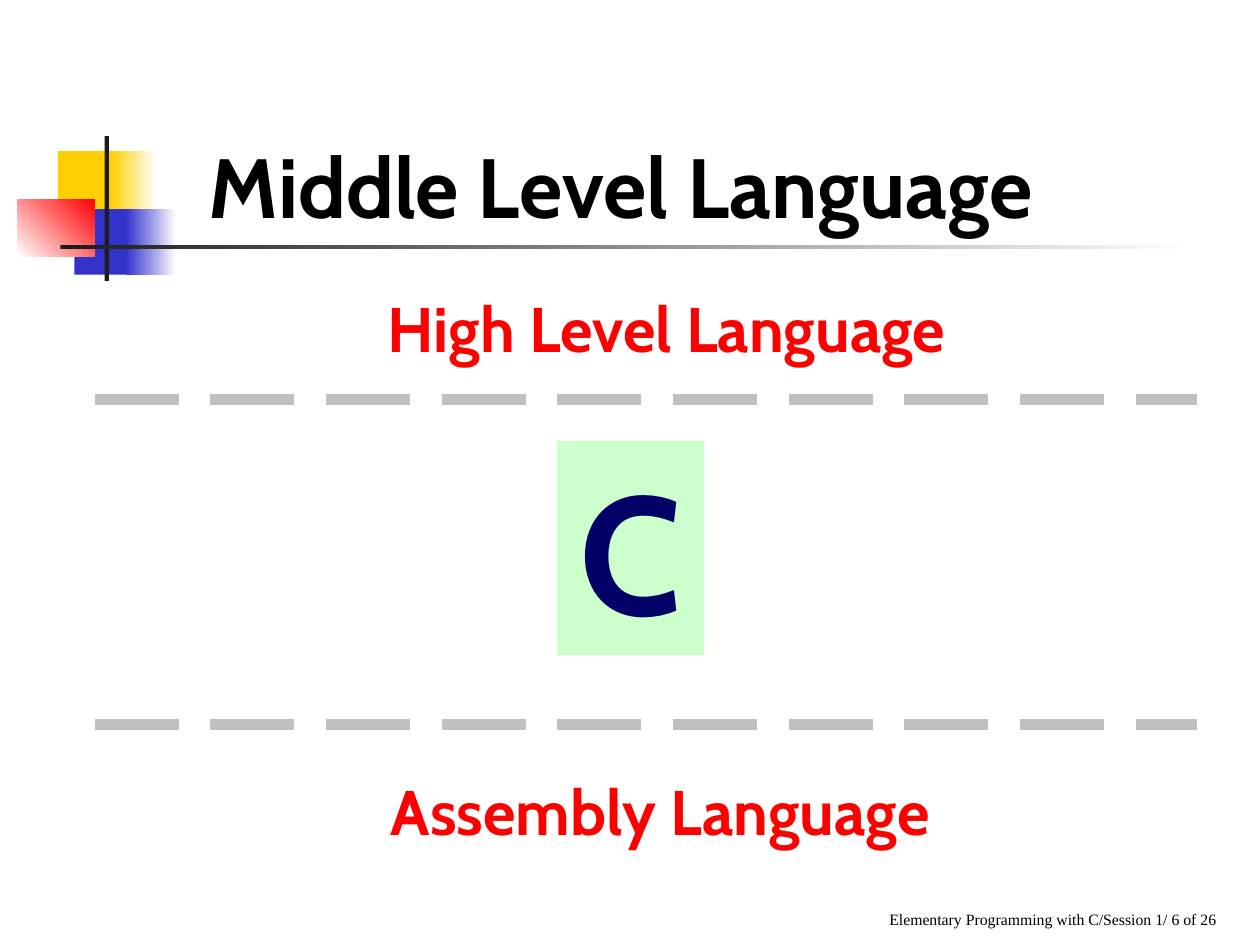
from lxml import etree
from pptx import Presentation
from pptx.dml.color import RGBColor
from pptx.enum.dml import MSO_LINE
from pptx.enum.shapes import MSO_CONNECTOR, MSO_SHAPE
from pptx.enum.text import MSO_ANCHOR, MSO_AUTO_SIZE, PP_ALIGN
from pptx.oxml.ns import qn
from pptx.util import Inches, Pt

RECT = MSO_SHAPE.RECTANGLE
STRAIGHT = MSO_CONNECTOR.STRAIGHT
LONG_DASH = MSO_LINE.LONG_DASH
TOP, BOTTOM = MSO_ANCHOR.TOP, MSO_ANCHOR.BOTTOM
LEFT, CENTER, RIGHT = PP_ALIGN.LEFT, PP_ALIGN.CENTER, PP_ALIGN.RIGHT
GROW, FIXED = MSO_AUTO_SIZE.SHAPE_TO_FIT_TEXT, MSO_AUTO_SIZE.NONE

COLS, ROWS = 100, 75  # grid of the slide
YELLOW, BLUE, RED, WHITE = "FFCF01", "3333CC", "FF0000", "FFFFFF"
BLACK, DARK, GRAY = "000000", "1C1C1C", "C0C0C0"
MINT, NAVY = "CCFFCC", "000066"


def rgb(color):
    return RGBColor.from_string(color)


class Deck:
    """Holds the style and the current slide; lengths are columns and rows."""

    font = "Cabin"

    def __init__(self, prs):
        self.cell_w = prs.slide_width / COLS
        self.cell_h = prs.slide_height / ROWS
        self.slide = prs.slides.add_slide(prs.slide_layouts[6])

    def place(self, x, y, w, h):
        return (round(x * self.cell_w), round(y * self.cell_h),
                round(w * self.cell_w), round(h * self.cell_h))

    def block(self, box, color, end=None, angle=0):
        """A plain rectangle, or a gradient one when an end colour is given."""
        s = self.slide.shapes.add_shape(RECT, *self.place(*box))
        s.shadow.inherit = False
        s.line.fill.background()
        if end is None:
            s.fill.solid()
            s.fill.fore_color.rgb = rgb(color)
        else:
            s.fill.gradient()
            s.fill.gradient_angle = angle
            for stop, c in zip(s.fill.gradient_stops, (color, end)):
                stop.color.rgb = rgb(c)
        return s

    def add_text(self, s, text, size, color, align=CENTER, wrap=True,
                 anchor=TOP, fit=GROW, font=None, bold=True):
        tf = s.text_frame
        tf.word_wrap, tf.auto_size, tf.vertical_anchor = wrap, fit, anchor
        p = tf.paragraphs[0]
        p.alignment = align
        r = p.add_run()
        r.text = text
        r.font.name, r.font.size, r.font.bold = font or self.font, Pt(size), bold
        r.font.color.rgb = rgb(color)

    def label(self, box, text, size, color, **style):
        s = self.slide.shapes.add_textbox(*self.place(*box))
        self.add_text(s, text, size, color, **style)

    def divider(self, x1, x2, y):
        left, top, right, _ = self.place(x1, y, x2, 0)
        s = self.slide.shapes.add_connector(STRAIGHT, left, top, right, top)
        s.line.color.rgb = rgb(GRAY)
        s.line.width = Pt(6)
        s.line.dash_style = LONG_DASH
        etree.SubElement(s._element.spPr, qn("a:effectLst"))


def main():
    prs = Presentation()
    prs.slide_width, prs.slide_height = Inches(10), Inches(7.5)
    deck = Deck(prs)

    # Corner ornament: coloured squares, then the crossing bars
    deck.block((4.6, 12, 4.8, 5.2), YELLOW)
    deck.block((8.8, 12, 3.6, 5.2), YELLOW, WHITE)
    deck.block((5.9, 16.6, 4.6, 5.2), BLUE)
    deck.block((10, 16.6, 4, 5.2), BLUE, WHITE)
    deck.block((1.4, 15.8, 6.1, 4.6), WHITE, RED, angle=45)
    deck.block((8.3, 10.8, 0.35, 11.5), DARK)
    deck.block((4.8, 19.45, 90, 0.35), DARK, WHITE)

    # Footer and title
    deck.label((36.7, 69.2, 60.8, 5),
               "Elementary Programming with C/Session 1/ 6 of 26", 9, BLACK,
               align=RIGHT, anchor=BOTTOM, fit=FIXED,
               font="Times New Roman", bold=False)
    deck.label((15.6, 10.2, 81.1, 9), "Middle Level Language", 48, BLACK,
               align=LEFT)

    # Language levels, with C between the two dividers
    deck.label((25.8, 22.5, 54.2, 7), "High Level Language", 36, RED, wrap=False)
    deck.label((26.5, 60.8, 51.8, 7), "Assembly Language", 36, RED, wrap=False)
    deck.add_text(deck.block((44.2, 35, 11.7, 17), MINT), "C", 96, NAVY)
    for y in (57.5, 31.7):
        deck.divider(7.5, 95, y)

    prs.save("out.pptx")


if __name__ == "__main__":
    main()
